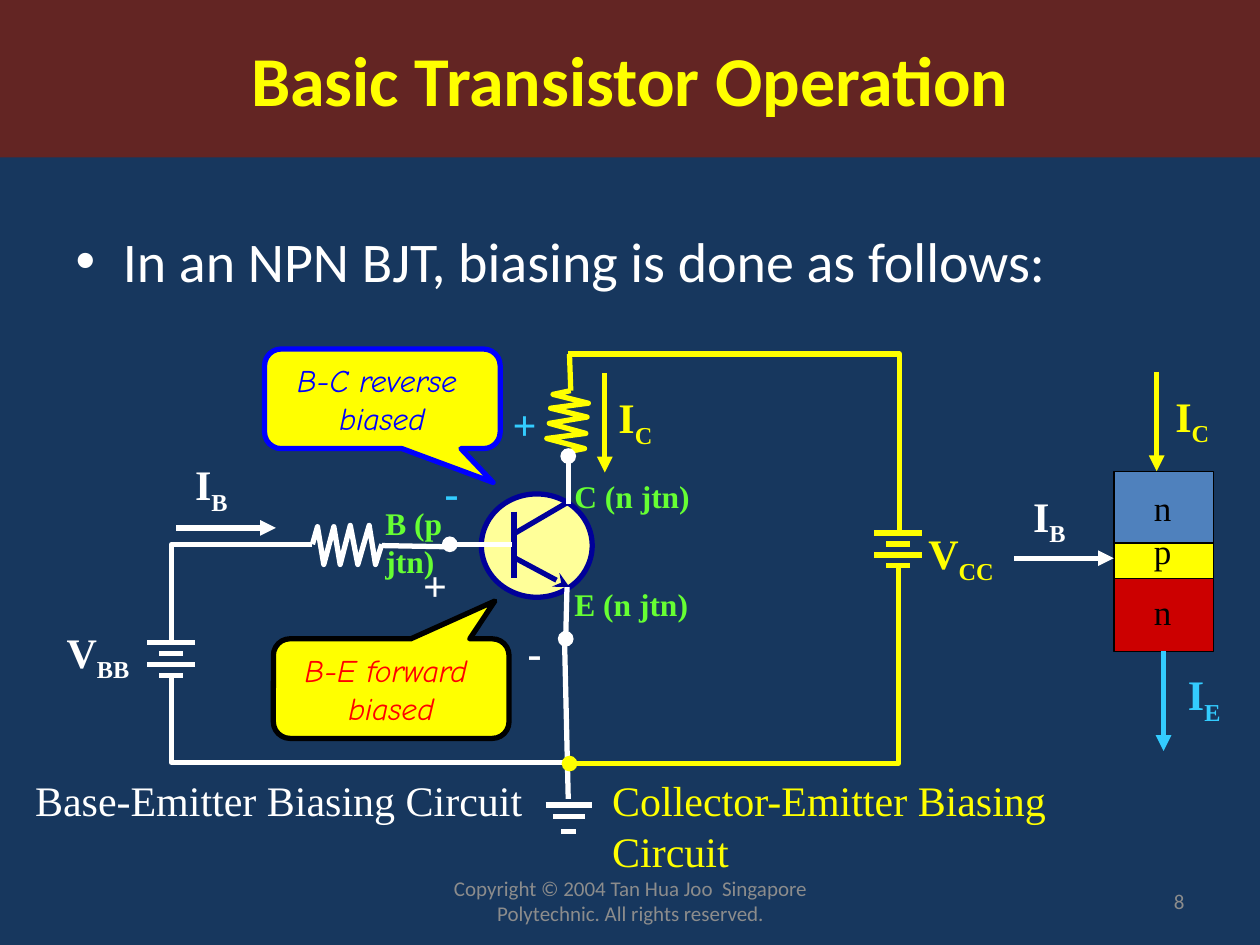
"""Build the slide on basic NPN transistor operation, laid out on a grid of 100 columns by 75 rows."""
from dataclasses import dataclass
from pptx import Presentation
from pptx import util as u
from pptx.dml.color import RGBColor
from pptx.enum import shapes, text
from pptx.oxml.ns import qn
from lxml import etree

COLORS = {
    "back": "17375E", "band": "632523", "white": "FFFFFF", "black": "000000", "yellow": "FFFF00",
    "sky": "33CCFF", "blue": "0000FF", "red": "FF0000", "green": "66FF33", "navy": "000099",
    "cream": "FFFF99", "steel": "4F81BD", "crimson": "CC0000", "grey": "8C8C8C",
}
SERIF, SANS, COMIC = "Times New Roman", "Calibri", "Comic Neue"
PREFIX = {"head": "a:headEnd", "tail": "a:tailEnd"}

prs = Presentation()
prs.slide_width, prs.slide_height = u.Inches(10), u.Inches(7.5)
COL, ROW = prs.slide_width / 100, prs.slide_height / 75
s = prs.slides.add_slide(prs.slide_layouts[1])


@dataclass
class Wire:
    """A line through grid points; two points make a connector."""
    points: list
    color: str = "white"
    head: str = ""
    tail: str = ""


@dataclass
class Label:
    """A text box with an optional subscript."""
    box: tuple
    text: str
    sub: str = ""
    color: str = "white"
    size: int = 24
    bold: bool = True
    font: str = SERIF
    align: text.PP_ALIGN = text.PP_ALIGN.LEFT
    anchor: text.MSO_ANCHOR = text.MSO_ANCHOR.TOP


@dataclass
class Callout:
    """A rounded speech bubble whose tip is given by its adjustments."""
    box: tuple
    lines: str
    ink: str
    edge: str
    tip: tuple


def rgb(name: str) -> RGBColor:
    """Return a named colour."""
    return RGBColor.from_string(COLORS[name])


def place(box: tuple) -> tuple:
    """Turn a box in columns and rows into slide lengths."""
    x, y, w, h = box
    return round(x * COL), round(y * ROW), round(w * COL), round(h * ROW)


def style(font, name: str, size: float, color: str, bold: bool = False, italic: bool = False) -> None:
    """Format a font."""
    font.name, font.size, font.bold, font.italic = name, u.Pt(size), bold, italic
    font.color.rgb = rgb(color)


def draw_shape(kind, box: tuple, fill: str, edge: str, width: float):
    """Add a filled, outlined preset shape."""
    sp = s.shapes.add_shape(kind, *place(box))
    sp.shadow.inherit = False
    sp.fill.solid()
    sp.fill.fore_color.rgb = rgb(fill)
    sp.line.color.rgb = rgb(edge)
    sp.line.width = u.Pt(width)
    return sp


def draw_wire(wire: Wire):
    """Add a connector or an open outline, with its line ends."""
    pts = [(round(x * COL), round(y * ROW)) for x, y in wire.points]
    if len(pts) == 2:
        sp = s.shapes.add_connector(shapes.MSO_CONNECTOR.STRAIGHT, *pts[0], *pts[1])
    else:
        builder = s.shapes.build_freeform(*pts[0])
        builder.add_line_segments(pts[1:], close=False)
        sp = builder.convert_to_shape()
        sp.fill.background()
    sp.line.color.rgb = rgb(wire.color)
    sp.line.width = u.Pt(3)
    for end, kind in (("head", wire.head), ("tail", wire.tail)):
        if kind:
            etree.SubElement(sp.line._get_or_add_ln(), qn(PREFIX[end])).set("type", kind)
    etree.SubElement(sp._element.spPr, qn("a:effectLst"))
    return sp


def draw_plates(cx: float, plates: list, color: str) -> None:
    """Add level plates, each a row and a width, centred on one column."""
    for y, w in plates:
        draw_wire(Wire([(cx - w / 2, y), (cx + w / 2, y)], color))


def draw_battery(cx: float, top: float, color: str) -> None:
    """Add four alternating long and short plates."""
    draw_plates(cx, [(top + 0.87 * i, 1.9 if i % 2 else 3.8) for i in range(4)], color)


def draw_label(label: Label) -> None:
    """Add a text box."""
    tf = s.shapes.add_textbox(*place(label.box)).text_frame
    tf.word_wrap, tf.vertical_anchor = True, label.anchor
    p = tf.paragraphs[0]
    p.alignment = label.align
    for part in filter(None, (label.text, label.sub)):
        r = p.add_run()
        r.text = part
        style(r.font, label.font, label.size, label.color, label.bold)
    if label.sub:
        r.font._element.set("baseline", "-25000")


def draw_callout(c: Callout) -> None:
    """Add a yellow speech bubble."""
    sp = draw_shape(shapes.MSO_SHAPE.ROUNDED_RECTANGULAR_CALLOUT, c.box, "yellow", c.edge, 3)
    sp.adjustments[0], sp.adjustments[1] = c.tip
    sp.text_frame.text = c.lines
    for p in sp.text_frame.paragraphs:
        p.alignment = text.PP_ALIGN.CENTER
        style(p.runs[0].font, COMIC, 18, c.ink, italic=True)


def fill_placeholder(sp, box: tuple, words: str, size: int, color: str, bold: bool) -> None:
    """Move a placeholder and set its text."""
    sp.left, sp.top, sp.width, sp.height = place(box)
    sp.text_frame.text = words
    p = sp.text_frame.paragraphs[0]
    p.space_before = u.Pt(0)
    style(p.runs[0].font, SANS, size, color, bold)


BASE_CIRCUIT = [
    Wire([(24.8, 43.2), (25.2, 41.8), (25.7, 44.8), (26.5, 41.8), (27, 44.8),
          (27.8, 41.7), (28.4, 44.8), (29.3, 41.7), (29.8, 44.8), (30.3, 43.2)]),
    Wire([(30.3, 43.3), (35.7, 43.4)]),
    Wire([(24.8, 43.2), (13.6, 43.2), (13.6, 50.8)]),
    Wire([(44.8, 50.6), (45.1, 63.4)]),
    Wire([(13.6, 53.6), (13.6, 60.5), (44.8, 60.5)]),
    Wire([(14, 41.9), (21.9, 41.9)], tail="triangle"),
]
COLLECTOR_CIRCUIT = [
    Wire([(45.3, 31), (43.9, 31.3), (46.7, 32), (43.7, 32.4), (46.6, 33.1),
          (43.6, 33.6), (46.5, 34.4), (43.4, 34.8), (46.4, 35.6), (44.8, 35.9)], "yellow"),
    Wire([(45.2, 28.1), (45.3, 31)], "yellow"),
    Wire([(45.1, 28.1), (71.4, 28.1), (71.4, 42.3)], "yellow"),
    Wire([(71.3, 45.1), (71.3, 60.6), (45.2, 60.6)], "yellow", tail="oval"),
    Wire([(48, 29.6), (48, 37.5)], "yellow", tail="triangle"),
]
BLOCK_CURRENTS = [
    Wire([(91.8, 29.5), (91.8, 37.4)], "yellow", tail="triangle"),
    Wire([(80.5, 44.3), (88.4, 44.3)], tail="triangle"),
]
TRANSISTOR = [
    Wire([(40.8, 40.6), (40.8, 45.9)], "navy"),
    Wire([(40.9, 44.3), (45.2, 46.6)], "navy", tail="stealth"),
    Wire([(40.9, 42.3), (45, 39.9)], "navy"),
    Wire([(35.7, 43.2), (40.6, 43.2)], head="oval"),
    Wire([(45, 46.6), (44.9, 50.7)], tail="oval"),
    Wire([(45.1, 40), (45.1, 36.2)], tail="oval"),
]
CALLOUTS = [
    Callout((21.7, 50.7, 18.7, 7.9), "B-E forward \nbiased", "red", "black", (0.44, -0.88)),
    Callout((21, 27.7, 18.7, 7.9), "B-C reverse \nbiased", "blue", "blue", (0.47, 0.84)),
]
LABELS = [
    Label((4.3, 49.2, 8.8, 5), "V", "BB"),
    Label((72.7, 41.4, 8.7, 5), "V", "CC", "yellow"),
    Label((14.5, 35.9, 4.9, 5.1), "I", "B"),
    Label((81, 38.4, 4.9, 5.1), "I", "B"),
    Label((48.1, 30.6, 4.9, 5), "I", "C", "yellow"),
    Label((92.3, 30.5, 4.9, 5), "I", "C", "yellow"),
    Label((93.3, 52.6, 4.9, 5), "I", "E", "sky"),
    Label((32.6, 43.9, 3, 5), "+"),
    Label((40.9, 49.2, 3.6, 5), "-"),
    Label((39.7, 31.1, 4.2, 5), "+", color="sky"),
    Label((34.3, 36.5, 4.2, 5), "-", color="sky"),
    Label((1.8, 61, 41.5, 5), "Base-Emitter Biasing Circuit", bold=False),
    Label((47.6, 61, 43.8, 9.1), "Collector-Emitter Biasing Circuit", color="yellow", bold=False),
    Label((44.6, 45.9, 12.8, 4), "E (n jtn)", color="green", size=18),
    Label((44.6, 37.4, 12.8, 4), "C (n jtn)", color="green", size=18),
    Label((29.6, 39.5, 10.9, 7.1), "B (p jtn)", color="green", size=18),
    *(Label((90.6, y, 3.7, 4.3), t, color="black", size=20, bold=False)
      for t, y in (("n", 38.1), ("p", 41.5), ("n", 46.4))),
    Label((34.2, 69.5, 31.7, 4), "Copyright © 2004 Tan Hua Joo  Singapore Polytechnic. All rights reserved.",
          "", "grey", 12, False, SANS, text.PP_ALIGN.CENTER, text.MSO_ANCHOR.MIDDLE),
    Label((71.7, 69.5, 23.3, 4), "8", "", "grey", 12, False, SANS, text.PP_ALIGN.RIGHT, text.MSO_ANCHOR.MIDDLE),
]

s.background.fill.solid()
s.background.fill.fore_color.rgb = rgb("back")
title, body = s.placeholders
fill_placeholder(title, (0, 0, 100, 12.5), "Basic Transistor Operation", 40, "yellow", True)
title.fill.solid()
title.fill.fore_color.rgb = rgb("band")
fill_placeholder(body, (5, 17.5, 90, 49.5), "In an NPN BJT, biasing is done as follows:", 32, "white", False)

for w in BASE_CIRCUIT + COLLECTOR_CIRCUIT:
    draw_wire(w)
draw_plates(45.15, [(63.9, 3.7), (64.8, 2.5), (66, 1.2)], "white")
draw_battery(13.6, 51, "white")
draw_battery(71.3, 42.3, "yellow")
for c in CALLOUTS:
    draw_callout(c)
for fill, y, h in (("steel", 37.4, 5.8), ("yellow", 43.1, 3.1), ("crimson", 45.9, 5.8)):
    block = draw_shape(shapes.MSO_SHAPE.RECTANGLE, (88.4, y, 7.9, h), fill, "black", 0.75)
for w in BLOCK_CURRENTS:
    draw_wire(w)
draw_wire(Wire([(92.35, 51.7), (92.35, 59.6)], "sky", tail="triangle")).begin_connect(block, 2)
draw_shape(shapes.MSO_SHAPE.OVAL, (38.2, 39.2, 8.8, 8.2), "cream", "navy", 3)
for w in TRANSISTOR:
    draw_wire(w)
for label in LABELS:
    draw_label(label)
prs.save("out.pptx")
